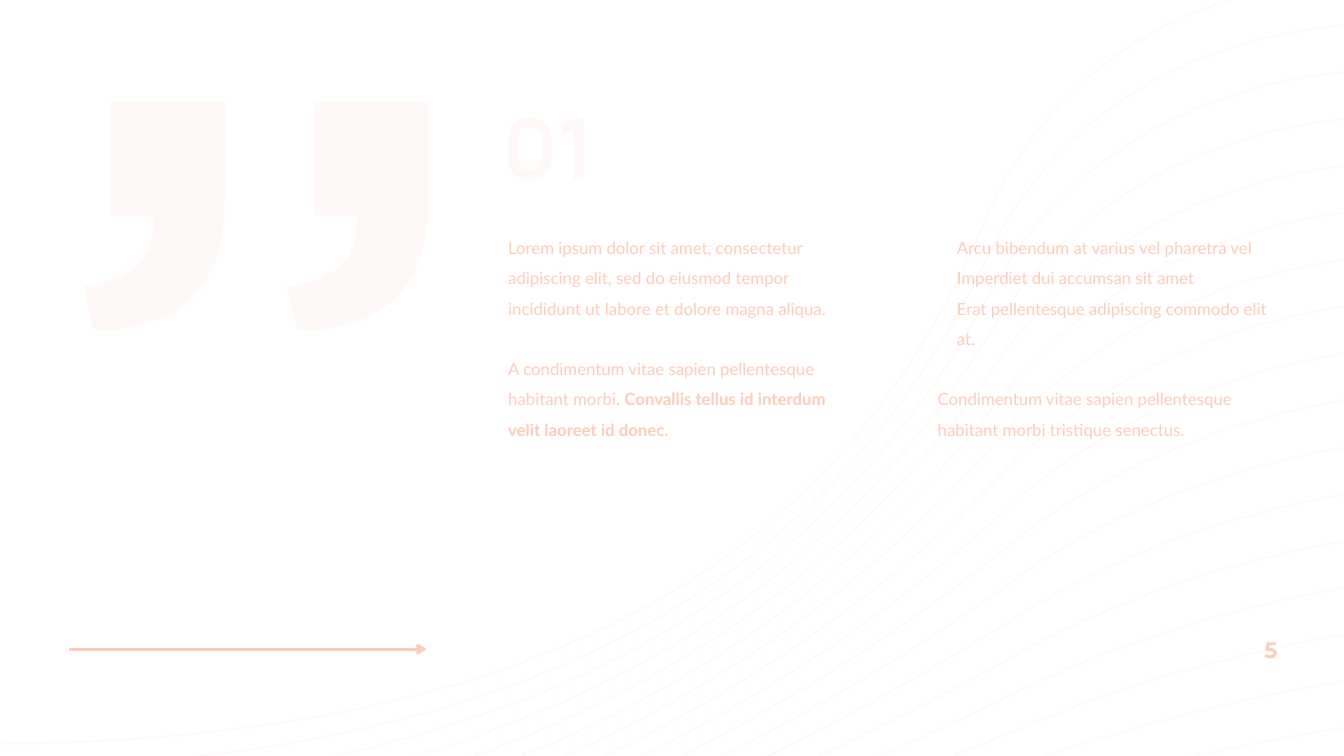
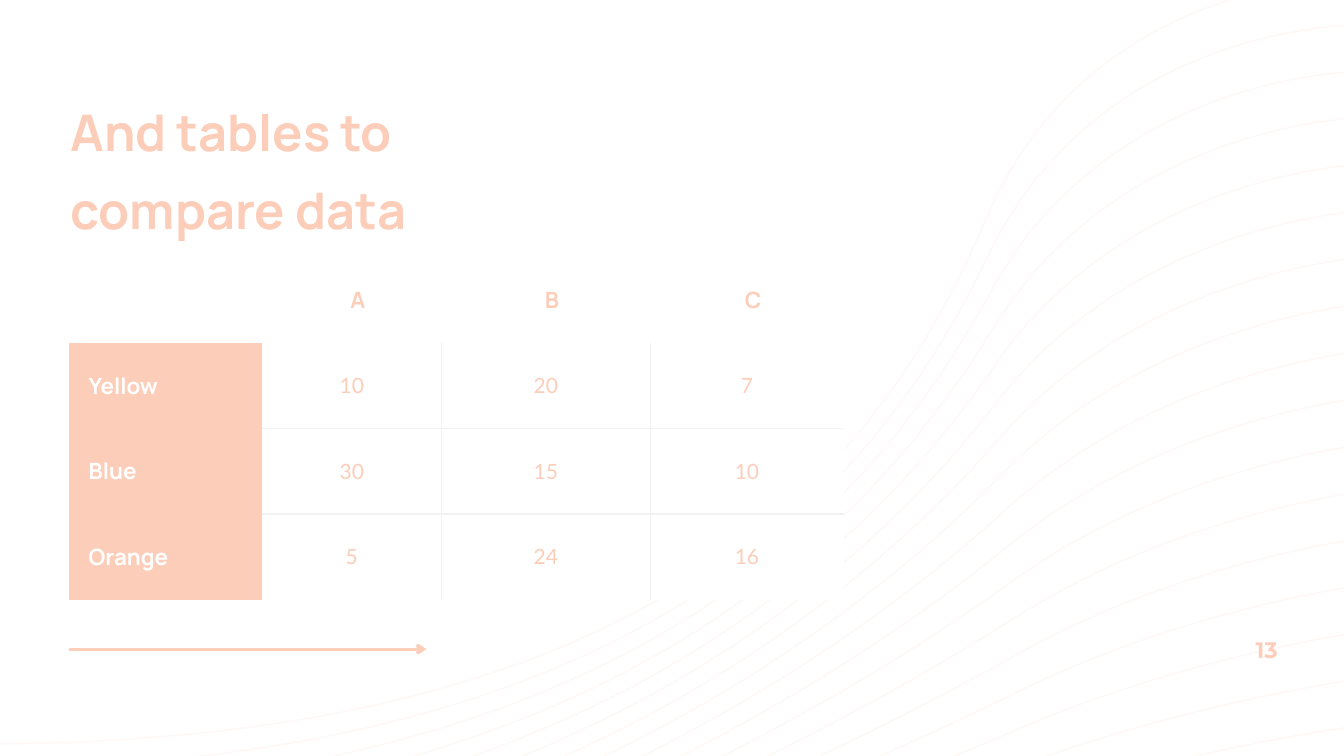
from lxml import etree
from pptx import Presentation
from pptx import util as u
from pptx.dml.color import RGBColor
from pptx.enum import shapes, text
from pptx.oxml.ns import qn

COLOURS = {"peach": "FCCDB9", "white": "FFFFFF", "rule": "F2F2F2"}
WIDTH, HEIGHT = 13.33, 7.5
MARGIN = 0.68
FAINT = 10
NO_GRID = "{2D5ABB26-0587-4C30-8999-92F81FD0307C}"

WAVE_COUNT = 17
KEY_WAVES = (
    ((13.44, -0.21), (10.82, -0.27), (9.78, 2.17), (8.74, 4.61), (6.6, 7.38), (-0.21, 7.38)),
    ((13.71, 3.46), (11.58, 3.59), (9.97, 5.06), (8.05, 6.82), (4.79, 8.74), (0.17, 9.41)),
    ((13.98, 7.13), (12.18, 7.32), (10.16, 7.95), (7.19, 8.88), (2.99, 10.1), (0.56, 11.45)),
)
QUOTE_START = (0.83, 2.84)
QUOTE_PATH = (
    ((1.29, 2.79), (1.52, 2.58), (1.52, 2.22)),
    ((1.52, 2.14),),
    ((1.09, 2.14),),
    ((1.09, 1.01),),
    ((2.23, 1.01),),
    ((2.23, 1.96),),
    ((2.23, 2.89), (1.76, 3.27), (0.93, 3.28)),
)
QUOTE_PITCH = 2.02

QUOTE = {
    "page": "5",
    "number": "01",
    "columns": (
        (
            {"runs": [("Lorem ipsum dolor sit amet, consectetur adipiscing elit, sed do "
                       "eiusmod tempor incididunt ut labore et dolore magna aliqua.", False)]},
            {"runs": [("A condimentum vitae sapien pellentesque habitant morbi. ", False),
                      ("Convallis tellus id interdum velit laoreet id donec.", True)],
             "gap": 21.6},
        ),
        (
            {"runs": [("Arcu bibendum at varius vel pharetra vel", False)], "bullet": "▪"},
            {"runs": [("Imperdiet dui accumsan sit amet", False)], "bullet": "▪"},
            {"runs": [("Erat pellentesque adipiscing commodo elit at.", False)], "bullet": "▪"},
            {"runs": [("Condimentum vitae sapien pellentesque habitant morbi "
                       "tristique senectus.", False)], "gap": 21.6},
        ),
    ),
}
COMPARISON = {
    "page": "13",
    "title": "And tables to compare data",
    "widths": (1.92, 1.78, 2.07, 1.92),
    "row_height": 0.85,
    "rows": (
        ("", "A", "B", "C"),
        ("Yellow", "10", "20", "7"),
        ("Blue", "30", "15", "10"),
        ("Orange", "5", "24", "16"),
    ),
}


def paint(fill, colour, alpha=None):
    fill.solid()
    fill.fore_color.rgb = RGBColor.from_string(COLOURS[colour])
    if alpha:
        tint = fill._xPr.find(f".//{qn('a:srgbClr')}")
        etree.SubElement(tint, qn("a:alpha"), val=str(alpha * 1000))


def add_bullet(paragraph, mark):
    props = paragraph._p.get_or_add_pPr()
    indent = u.Inches(0.19) if mark else 0
    props.set("marL", str(indent))
    props.set("indent", str(-indent))
    if mark:
        tint = etree.SubElement(props, qn("a:buClr"))
        etree.SubElement(tint, qn("a:srgbClr"), val=COLOURS["white"])
        etree.SubElement(props, qn("a:buChar"), char=mark)
    else:
        etree.SubElement(props, qn("a:buNone"))


def write(host, content, size=12, font="Lato", colour="peach", bold=False, alpha=None,
          align=text.PP_ALIGN.LEFT, spacing=1, inset=(0.1, 0.05, 0.1, 0.05),
          anchor=text.MSO_ANCHOR.TOP):
    frame = getattr(host, "text_frame", host)
    frame.word_wrap = True
    frame.auto_size = text.MSO_AUTO_SIZE.NONE
    host.vertical_anchor = anchor
    host.margin_left, host.margin_top, host.margin_right, host.margin_bottom = map(u.Inches, inset)
    if isinstance(content, str):
        content = [{"runs": [(content, bold)]}]
    for index, part in enumerate(content):
        paragraph = frame.paragraphs[0] if index == 0 else frame.add_paragraph()
        add_bullet(paragraph, part.get("bullet"))
        paragraph.alignment = align
        paragraph.line_spacing = spacing
        paragraph.space_before = u.Pt(part.get("gap", 0))
        for words, strong in part["runs"]:
            run = paragraph.add_run()
            run.text = words
            run.font.size = u.Pt(size)
            run.font.name = font
            run.font.bold = strong
            paint(run.font.fill, colour, alpha)


def place(shape, left, top, width, height):
    shape.left, shape.top = u.Inches(left), u.Inches(top)
    shape.width, shape.height = u.Inches(width), u.Inches(height)
    return shape.text_frame


def draw_outline(slide, start, segments, closed, shift=0):
    corners = [(u.Inches(x + shift), u.Inches(y))
               for x, y in (start, *(segment[-1] for segment in segments))]
    builder = slide.shapes.build_freeform(*corners[0], scale=1.0)
    builder.add_line_segments(corners[1:], close=closed)
    outline = builder.convert_to_shape()
    outline.shadow.inherit = False
    sides = outline._element.findall(f".//{qn('a:lnTo')}")
    for side, segment in zip(sides, segments):
        if len(segment) == 3:
            curve = etree.Element(qn("a:cubicBezTo"))
            for x, y in segment:
                etree.SubElement(curve, qn("a:pt"),
                                 x=str(u.Inches(x + shift) - outline.left),
                                 y=str(u.Inches(y) - outline.top))
            side.getparent().replace(side, curve)
    return outline


def blend_wave(t):
    weights = ((1 - t) * (1 - 2 * t), 4 * t * (1 - t), t * (2 * t - 1))
    return [tuple(sum(w * p[axis] for w, p in zip(weights, trio)) for axis in (0, 1))
            for trio in zip(*KEY_WAVES)]


def draw_backdrop(slide, master):
    backdrop = []
    for index in range(WAVE_COUNT):
        start, bend, joint, *rest = blend_wave(index / (WAVE_COUNT - 1))
        wave = draw_outline(slide, start, ((start, bend, joint), rest), False)
        wave.fill.background()
        wave.line.width = u.Pt(1.1)
        paint(wave.line.fill, "peach", FAINT)
        backdrop.append(wave)
    arrow = slide.shapes.add_connector(
        shapes.MSO_CONNECTOR.STRAIGHT,
        *map(u.Inches, (MARGIN, 6.44, 4.23, 6.44)))
    arrow.line.width = u.Pt(2.25)
    paint(arrow.line.fill, "peach")
    etree.SubElement(arrow.line._get_or_add_ln(), qn("a:tailEnd"), type="arrow")
    etree.SubElement(arrow._element.spPr, qn("a:effectLst"))
    for number, part in enumerate(backdrop + [arrow], start=100):
        part._element.xpath(".//p:cNvPr")[0].set("id", str(number))
        master.shapes._spTree.append(part._element)


def add_page(slide, page):
    box = slide.shapes.add_textbox(0, 0, 0, 0)
    write(place(box, 11.99, 6.24, 0.78, 0.4), page, size=16, font="Montserrat", bold=True,
          align=text.PP_ALIGN.RIGHT, anchor=text.MSO_ANCHOR.MIDDLE)


def fill_quote(slide):
    number, *columns = slide.placeholders
    write(place(number, 4.98, 0.95, 3.43, 1.1), QUOTE["number"], size=60, font="Manrope",
          bold=True, alpha=FAINT, inset=(0, 0, 0, 0))
    for column, left, content in zip(columns, (4.94, 9.2), QUOTE["columns"]):
        write(place(column, left, 2.21, 3.47, 2.18), content, spacing=1.5)
    for index in range(2):
        mark = draw_outline(slide, QUOTE_START, QUOTE_PATH, True, index * QUOTE_PITCH)
        paint(mark.fill, "peach", FAINT)
        mark.line.fill.background()
    add_page(slide, QUOTE["page"])


def rule_cell(cell, sides):
    props = cell._tc.get_or_add_tcPr()
    for side in sides:
        edge = etree.SubElement(props, qn(f"a:ln{side}"), w=str(u.Pt(1)))
        solid = etree.SubElement(edge, qn("a:solidFill"))
        etree.SubElement(solid, qn("a:srgbClr"), val=COLOURS["rule"])


def fill_comparison(slide):
    write(place(slide.shapes.title, 0.7, 0.82, 4.23, 2.19), COMPARISON["title"], size=36,
          font="Manrope", bold=True, spacing=1.3, inset=(0, 0, 0, 0))
    rows, widths = COMPARISON["rows"], COMPARISON["widths"]
    height = COMPARISON["row_height"]
    last_row, last_column = len(rows) - 1, len(widths) - 1
    frame = slide.shapes.add_table(
        len(rows), len(widths),
        *map(u.Inches, (MARGIN, 2.55, sum(widths), height * len(rows))))
    table = frame.table
    table.first_row = table.horz_banding = False
    table._tbl.tblPr.find(qn("a:tableStyleId")).text = NO_GRID
    for column, width in zip(table.columns, widths):
        column.width = u.Inches(width)
    heading = {"size": 16, "font": "Manrope", "bold": True}
    centred = {"align": text.PP_ALIGN.CENTER}
    for r, row in enumerate(rows):
        table.rows[r].height = u.Inches(height)
        for c, words in enumerate(row):
            cell = table.cell(r, c)
            label = r > 0 and c == 0
            if r == 0:
                look = {**heading, **centred, "inset": (0.2, 0.06, 0.08, 0.06)}
            elif label:
                look = {**heading, "colour": "white", "inset": (0.2,) * 4}
            else:
                look = {**centred, "size": 15, "inset": (0.08, 0.06, 0.08, 0.06)}
                edges = {"L": c > 1, "R": c < last_column, "T": r > 1, "B": r < last_row}
                rule_cell(cell, [side for side, inner in edges.items() if inner])
            if words:
                write(cell, words, anchor=text.MSO_ANCHOR.MIDDLE, **look)
            paint(cell.fill, "peach" if label else "white")
    add_page(slide, COMPARISON["page"])


def main():
    deck = Presentation()
    deck.slide_width, deck.slide_height = u.Inches(WIDTH), u.Inches(HEIGHT)
    two_columns, title_only = deck.slide_layouts[3], deck.slide_layouts[5]
    quote = deck.slides.add_slide(two_columns)
    draw_backdrop(quote, deck.slide_master)
    fill_quote(quote)
    fill_comparison(deck.slides.add_slide(title_only))
    deck.save("out.pptx")


if __name__ == "__main__":
    main()
